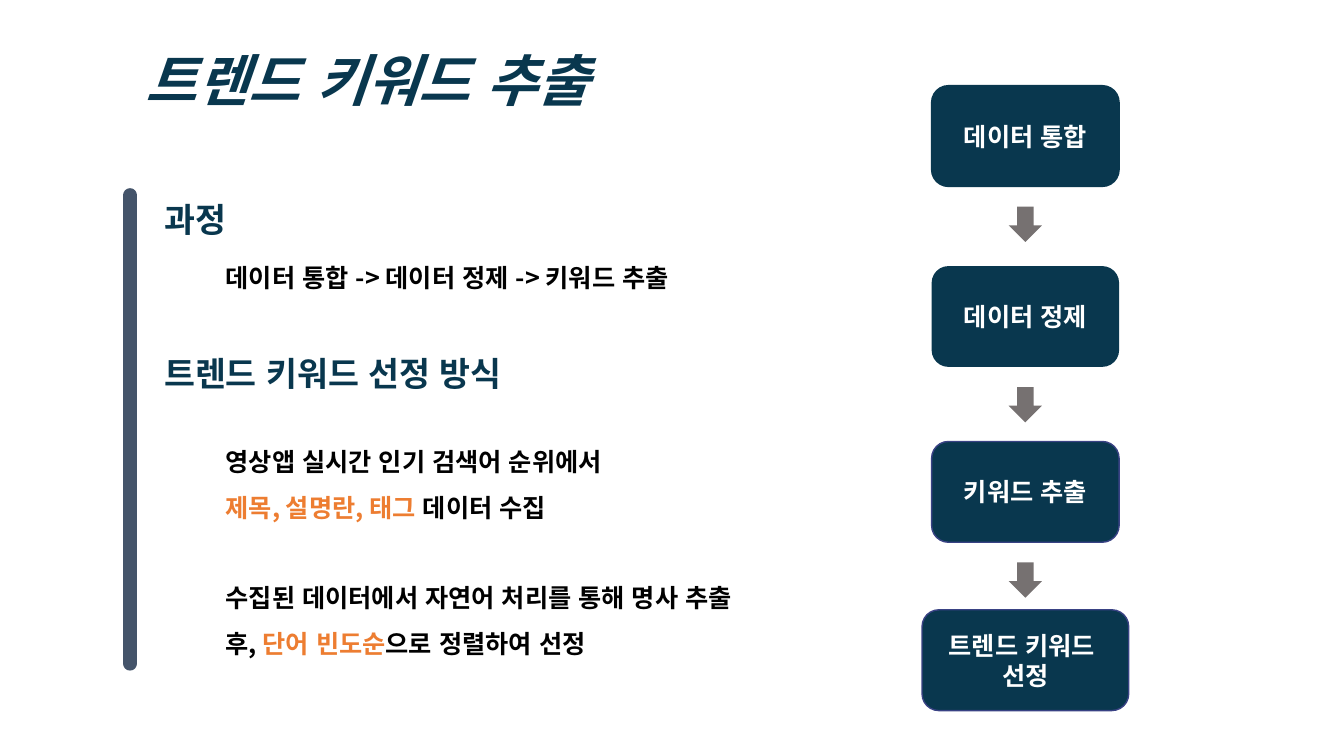
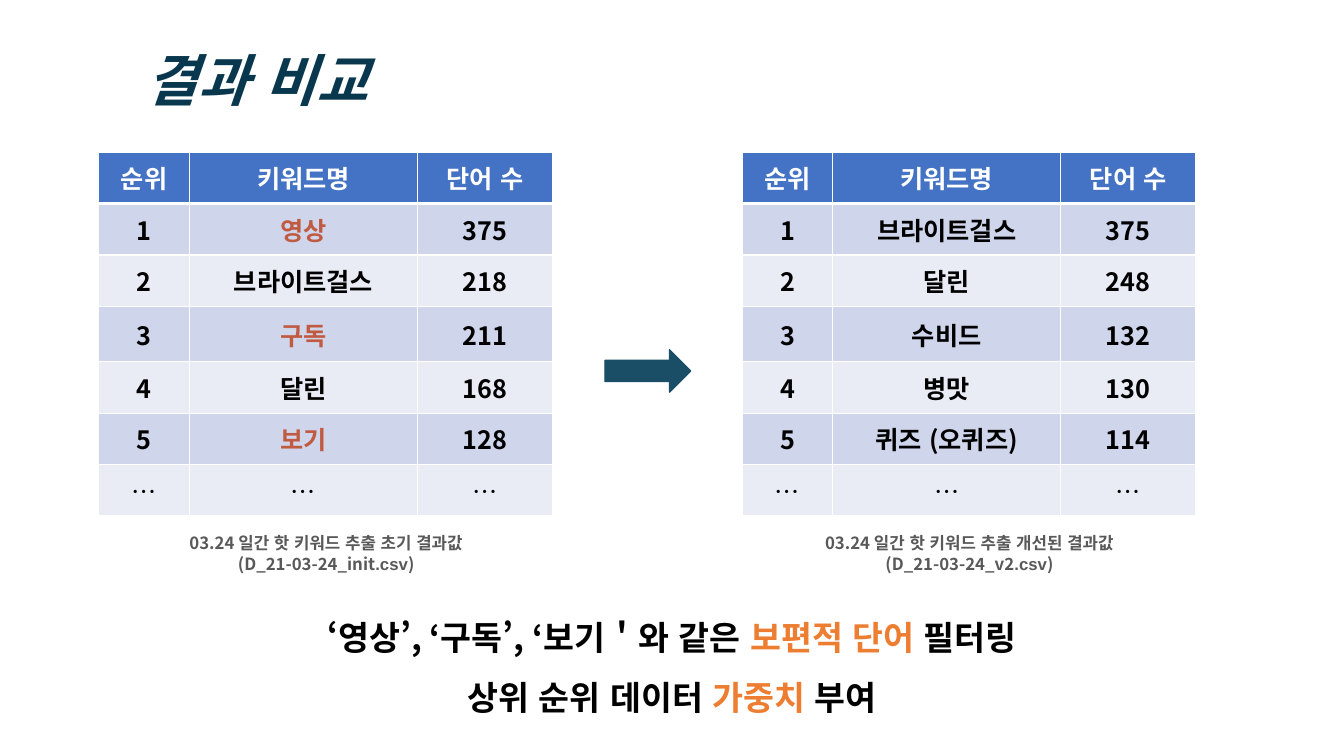
from dataclasses import dataclass
from itertools import pairwise

from lxml.etree import SubElement
from pptx import Presentation
from pptx.dml.color import RGBColor
from pptx.enum.lang import MSO_LANGUAGE_ID
from pptx.enum.shapes import MSO_CONNECTOR, MSO_SHAPE
from pptx.enum.text import MSO_ANCHOR, MSO_AUTO_SIZE, PP_ALIGN
from pptx.oxml.ns import qn
from pptx.util import Inches, Pt

FONT = "Noto Sans CJK KR"
COLORS = {
    "navy": "09374E",
    "black": "000000",
    "white": "FFFFFF",
    "orange": "ED7D31",
    "rust": "C05B41",
    "caption": "595959",
    "bar": "44546A",
    "step_edge": "394284",
    "step_arrow": "767171",
    "result_arrow": "1A4D66",
    "header": "4472C4",
    "odd_row": "CFD5EA",
    "even_row": "E9EBF5",
}


@dataclass(frozen=True)
class Span:
    text: str
    color: str | None = None
    font: str | None = None


@dataclass(frozen=True)
class Style:
    size: float
    color: str = "black"
    bold: bool = True
    italic: bool = False
    align: PP_ALIGN = PP_ALIGN.LEFT
    spacing: float = 1.0


@dataclass(frozen=True)
class Area:
    left: float
    top: float
    width: float
    height: float

    @property
    def lengths(self):
        return [Inches(value) for value in (self.left, self.top, self.width, self.height)]


@dataclass(frozen=True)
class Step:
    lines: list
    top: float
    width: float = 1.86
    edge: str | None = None


@dataclass(frozen=True)
class Ranking:
    left: float
    keywords: list
    counts: list
    caption: str
    file_stem: str
    filtered: tuple = ()


TITLE = Style(40, "navy", italic=True, spacing=0.9)
HEADING = Style(24, "navy")
BODY = Style(18)
METHOD = Style(18, spacing=1.5)
STEP = Style(18, "white", align=PP_ALIGN.CENTER)
HEADER = STEP
CELL = Style(18, align=PP_ALIGN.CENTER)
ELLIPSIS = Style(18, bold=False, align=PP_ALIGN.CENTER)
CAPTION = Style(12, "caption", align=PP_ALIGN.CENTER)
SUMMARY = Style(24, align=PP_ALIGN.CENTER, spacing=1.5)

STEP_CENTER = 10.17
STEP_HEIGHT = 1.0
STEP_ARROW = (0.33, 0.35)
STEP_ARROW_GAP = 0.2
STEPS = [
    Step(["데이터 통합"], 0.85, edge="navy"),
    Step(["데이터 정제"], 2.64),
    Step(["키워드 추출"], 4.38, edge="step_edge"),
    Step(["트렌드 키워드 ", "선정"], 6.05, 2.05, "step_edge"),
]

COLUMN_WIDTHS = (0.9, 2.26, 1.34)
ROW_HEIGHTS = (0.51, 0.51, 0.51, 0.55, 0.51, 0.51, 0.51)
HEADERS = ("순위", "키워드명", "단어 수")
TABLE_TOP = 1.51
RANKINGS = [
    Ranking(0.98, ["영상", "브라이트걸스", "구독", "달린", "보기"], [375, 218, 211, 168, 128],
            "03.24 일간 핫 키워드 추출 초기 결과값", "D_21-03-24_init",
            ("영상", "구독", "보기")),
    Ranking(7.36, ["브라이트걸스", "달린", "수비드", "병맛", "퀴즈 (오퀴즈)"],
            [375, 248, 132, 130, 114],
            "03.24 일간 핫 키워드 추출 개선된 결과값", "D_21-03-24_v2"),
]


def rgb(name: str) -> RGBColor:
    return RGBColor.from_string(COLORS[name])


def write(frame, lines: list, style: Style) -> None:
    """Fill a text frame; each line is a string or a list of spans."""
    for index, line in enumerate(lines):
        para = frame.paragraphs[0] if index == 0 else frame.add_paragraph()
        para.alignment = style.align
        para.line_spacing = style.spacing
        font = para.font
        font.name, font.size = FONT, Pt(style.size)
        font.bold, font.italic = style.bold, style.italic
        font.color.rgb = rgb(style.color)
        defaults = para._p.pPr.find(qn("a:defRPr"))
        SubElement(defaults, qn("a:ea")).set("typeface", FONT)
        for span in [Span(line)] if isinstance(line, str) else line:
            run = para.add_run()
            run.text = span.text
            run.font.language_id = MSO_LANGUAGE_ID.KOREAN
            if span.color:
                run.font.color.rgb = rgb(span.color)
            if span.font:
                run.font.name = span.font


def add_text(page, area: Area, lines: list, style: Style, wrap: bool = True):
    frame = page.shapes.add_textbox(*area.lengths).text_frame
    frame.word_wrap = wrap
    if not wrap:
        frame.auto_size = MSO_AUTO_SIZE.SHAPE_TO_FIT_TEXT
    write(frame, lines, style)
    return frame


def add_page(deck, title: str):
    page = deck.slides.add_slide(deck.slide_layouts[6])
    frame = add_text(page, Area(1.35, 0.41, 9.83, 0.77), [title], TITLE)
    frame.vertical_anchor = MSO_ANCHOR.BOTTOM
    return page


def add_block(page, kind: MSO_SHAPE, area: Area, fill: str, edge: str | None = None):
    block = page.shapes.add_shape(kind, *area.lengths)
    block.shadow.inherit = False
    block.fill.solid()
    block.fill.fore_color.rgb = rgb(fill)
    if edge:
        block.line.color.rgb = rgb(edge)
        block.line.width = Pt(1)
    else:
        block.line.fill.background()
    return block


def add_side_bar(page) -> None:
    x = Inches(1.29)
    bar = page.shapes.add_connector(MSO_CONNECTOR.STRAIGHT, x, Inches(1.94), x, Inches(6.58))
    bar.line.color.rgb = rgb("bar")
    bar.line.width = Pt(10.5)
    properties = bar._element.spPr
    properties.find(qn("a:ln")).set("cap", "rnd")
    SubElement(properties, qn("a:effectLst"))


def add_steps(page) -> None:
    for step in STEPS:
        area = Area(STEP_CENTER - step.width / 2, step.top, step.width, STEP_HEIGHT)
        box = add_block(page, MSO_SHAPE.ROUNDED_RECTANGLE, area, "navy", step.edge)
        box.text_frame.vertical_anchor = MSO_ANCHOR.MIDDLE
        write(box.text_frame, step.lines, STEP)
    width, height = STEP_ARROW
    for upper, _ in pairwise(STEPS):
        top = upper.top + STEP_HEIGHT + STEP_ARROW_GAP
        area = Area(STEP_CENTER - width / 2, top, width, height)
        add_block(page, MSO_SHAPE.DOWN_ARROW, area, "step_arrow")


def set_borders(cell, top: float, bottom: float) -> None:
    """Draw white cell borders, placed before the cell's fill as the schema asks."""
    properties = cell._tc.get_or_add_tcPr()
    widths = {"lnL": 1, "lnR": 1, "lnT": top, "lnB": bottom}
    for index, (side, width) in enumerate(widths.items()):
        line = SubElement(properties, qn(f"a:{side}"), w=str(Pt(width)))
        fill = SubElement(line, qn("a:solidFill"))
        SubElement(fill, qn("a:srgbClr"), val=COLORS["white"])
        properties.insert(index, line)


def add_ranking(page, ranking: Ranking) -> None:
    ranks = range(1, len(ranking.keywords) + 1)
    rows = [HEADERS, *zip(ranks, ranking.keywords, ranking.counts), ("…",) * len(HEADERS)]
    area = Area(ranking.left, TABLE_TOP, sum(COLUMN_WIDTHS), sum(ROW_HEIGHTS))
    table = page.shapes.add_table(len(rows), len(HEADERS), *area.lengths).table
    for column, width in zip(table.columns, COLUMN_WIDTHS):
        column.width = Inches(width)
    for index, (values, height) in enumerate(zip(rows, ROW_HEIGHTS)):
        table.rows[index].height = Inches(height)
        fill = "header" if index == 0 else "odd_row" if index % 2 else "even_row"
        style = HEADER if index == 0 else ELLIPSIS if index == len(rows) - 1 else CELL
        for cell, value in zip(table.rows[index].cells, values):
            cell.fill.solid()
            cell.fill.fore_color.rgb = rgb(fill)
            set_borders(cell, 3 if index == 1 else 1, 3 if index == 0 else 1)
            cell.vertical_anchor = MSO_ANCHOR.MIDDLE
            color = "rust" if value in ranking.filtered else None
            write(cell.text_frame, [[Span(str(value), color)]], style)
    caption = [
        ranking.caption,
        [Span(f"({ranking.file_stem}"), Span(".csv", font="Arial"), Span(")")],
    ]
    add_text(page, Area(ranking.left + 0.16, 5.24, 4.19, 0.5), caption, CAPTION)


def add_extraction_page(deck) -> None:
    page = add_page(deck, "트렌드 키워드 추출")
    add_text(page, Area(1.53, 1.92, 0.88, 0.5), ["과정"], HEADING, wrap=False)
    add_text(page, Area(2.14, 2.55, 5.46, 0.4),
             ["데이터 통합 -> 데이터 정제 -> 키워드 추출"], BODY)
    add_text(page, Area(1.53, 3.45, 3.93, 0.5), ["트렌드 키워드 선정 방식"], HEADING, wrap=False)
    method = add_text(page, Area(2.14, 4.23, 5.3, 2.68), [
        "영상앱 실시간 인기 검색어 순위에서",
        [Span("제목, 설명란, 태그 ", "orange"), Span("데이터 수집")],
        [Span("수집된 데이터에서 자연어 처리를 통해 명사 추출 후, "),
         Span("단어 빈도순", "orange"), Span("으로 정렬하여 선정")],
    ], METHOD)
    method.paragraphs[-1].space_before = Pt(32.5)
    add_side_bar(page)
    add_steps(page)


def add_comparison_page(deck) -> None:
    page = add_page(deck, "결과 비교")
    for ranking in RANKINGS:
        add_ranking(page, ranking)
    add_block(page, MSO_SHAPE.RIGHT_ARROW, Area(6, 3.47, 0.85, 0.42),
              "result_arrow", "result_arrow")
    add_text(page, Area(2.87, 5.87, 7.59, 1.23), [
        [Span("‘영상’, ‘구독’, ‘보기＇와 같은 "), Span("보편적 단어 ", "orange"), Span("필터링")],
        [Span("상위 순위 데이터 "), Span("가중치 ", "orange"), Span("부여")],
    ], SUMMARY, wrap=False)


def main() -> None:
    deck = Presentation()
    deck.slide_width, deck.slide_height = Inches(13.33), Inches(7.5)
    add_extraction_page(deck)
    add_comparison_page(deck)
    deck.save("out.pptx")


if __name__ == "__main__":
    main()
